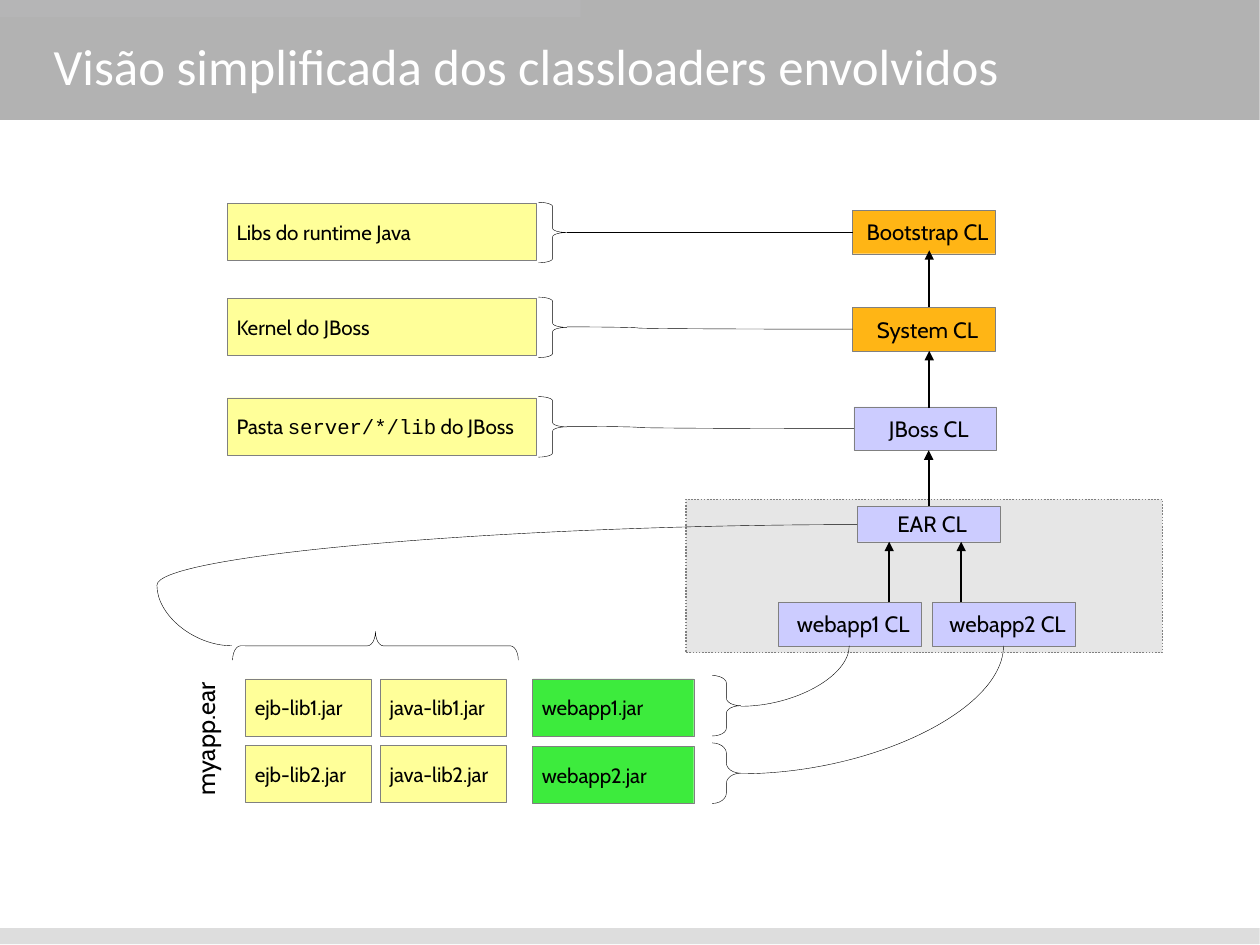
from lxml import etree
from pptx import Presentation
from pptx.dml.color import RGBColor
from pptx.enum.dml import MSO_LINE
from pptx.enum.shapes import MSO_CONNECTOR, MSO_SHAPE
from pptx.enum.text import MSO_ANCHOR, PP_ALIGN
from pptx.oxml.ns import qn
from pptx.util import Inches, Pt

RECTANGLE, RIGHT_BRACE = MSO_SHAPE.RECTANGLE, MSO_SHAPE.RIGHT_BRACE
STRAIGHT, CURVE = MSO_CONNECTOR.STRAIGHT, MSO_CONNECTOR.CURVE
LEFT, CENTER = PP_ALIGN.LEFT, PP_ALIGN.CENTER
MIDDLE, TOP = MSO_ANCHOR.MIDDLE, MSO_ANCHOR.TOP
DOTTED = MSO_LINE.ROUND_DOT

BLACK, WHITE, GREY = "000000", "FFFFFF", "808080"
YELLOW, GREEN, ORANGE, LILAC = "FFFF99", "3DEB3D", "FFB515", "CCCCFF"
BODY, CODE, HEADING = "Cabin", "Courier New", "Calibri"
HAIRLINE = 0.25
CM_PER_INCH = 2.54


def color(value):
    return RGBColor.from_string(value)


def write(shape, text, size=13, font=BODY, ink=BLACK, align=LEFT,
          anchor=MIDDLE, inset=0.08, wrap=False):
    """Fill a shape with one paragraph; text is a string or (text, font) pairs."""
    frame = shape.text_frame
    frame.word_wrap = wrap
    frame.vertical_anchor = anchor
    frame.margin_left = Inches(inset)
    frame.margin_right = frame.margin_top = frame.margin_bottom = 0
    para = frame.paragraphs[0]
    para.alignment = align
    for words, face in [(text, font)] if isinstance(text, str) else text:
        span = para.add_run()
        span.text = words
        span.font.name = face
        span.font.size = Pt(size)
        span.font.color.rgb = color(ink)


class Diagram:
    """Holds the current slide and draws its kinds of element."""

    def __init__(self, page):
        self.shapes = page.shapes

    def shape(self, kind, place, fill=None, line=None, width=HAIRLINE):
        shape = self.shapes.add_shape(kind, *map(Inches, place))
        shape.shadow.inherit = False
        if fill:
            shape.fill.solid()
            shape.fill.fore_color.rgb = color(fill)
        else:
            shape.fill.background()
        if line:
            shape.line.color.rgb = color(line)
            shape.line.width = Pt(width)
        else:
            shape.line.fill.background()
        return shape

    def box(self, text, place, fill, **style):
        box = self.shape(RECTANGLE, place, fill, GREY)
        write(box, text, **style)
        return box

    def loader(self, text, left, top, fill, height=0.38):
        return self.box(text, (left, top, 1.25, height), fill,
                        size=14, align=CENTER, inset=0.06)

    def label(self, text, place, rotation=0, **style):
        label = self.shapes.add_textbox(*map(Inches, place))
        label.rotation = rotation
        write(label, text, **style)

    def brace(self, place, curl, rotation=0):
        brace = self.shape(RIGHT_BRACE, place, line=BLACK)
        brace.adjustments[0] = curl
        brace.rotation = rotation

    def connector(self, kind, start, end, width=HAIRLINE):
        link = self.shapes.add_connector(kind, *map(Inches, start + end))
        link.line.color.rgb = color(BLACK)
        link.line.width = Pt(width)
        etree.SubElement(link._element.spPr, qn("a:effectLst"))
        return link

    def curve(self, start, end, bend=None):
        """S-curve turning at the given share of its width, or a quarter turn."""
        link = self.connector(CURVE, start, end)
        geometry = link._element.spPr.find(qn("a:prstGeom"))
        if bend is None:
            geometry.set("prst", "curvedConnector2")
        else:
            guides = geometry.find(qn("a:avLst"))
            etree.SubElement(guides, qn("a:gd"), name="adj1",
                             fmla=f"val {round(bend * 100000)}")

    def arrow(self, x, start, end):
        arrow = self.connector(STRAIGHT, (x, start), (x, end), 1.45)
        line = arrow._element.spPr.find(qn("a:ln"))
        etree.SubElement(line, qn("a:tailEnd"), type="triangle")
        return arrow


def main():
    deck = Presentation()
    deck.slide_width = Inches(28 / CM_PER_INCH)
    deck.slide_height = Inches(21 / CM_PER_INCH)
    page = deck.slides.add_slide(deck.slide_layouts[6])
    diagram = Diagram(page)

    # Header and footer bands
    for place, fill in [((0, 0, 11.02, 1.05), "B2B2B2"),
                        ((0, 0, 5.08, 0.15), "B5B5B6"),
                        ((0, 8.12, 11.02, 0.14), "DDDDDD")]:
        diagram.shape(RECTANGLE, place, fill)
    diagram.label("Visão simplificada dos classloaders envolvidos",
                  (0.47, 0.08, 9.77, 0.98), size=32, font=HEADING,
                  ink=WHITE, inset=0, wrap=True)

    # Application area and its classloaders
    area = diagram.shape(RECTANGLE, (6, 4.37, 4.17, 1.34), "E6E6E6", GREY, 1)
    area.line.dash_style = DOTTED
    ear = diagram.loader("EAR CL", 7.5, 4.43, LILAC, 0.31)

    # Web applications: classloader, archive, brace and curve
    for number, left, top, curl in [(1, 6.81, 5.94, 0.27),
                                    (2, 8.16, 6.53, 0.36)]:
        diagram.loader(f"webapp{number} CL", left, 5.27, LILAC)
        diagram.box(f"webapp{number}.jar", (4.66, top, 1.41, 0.5), GREEN)
        diagram.brace((6.23, top - 0.03, 0.25, 0.53), curl)
        diagram.curve((6.48, top + 0.24), (left + 0.62, 5.65))

    # Libraries inside the EAR
    diagram.label("myapp.ear", (1.22, 6.28, 1.18, 0.3), 270,
                  size=16, anchor=TOP, inset=0.06)
    for number, top in [(1, 5.94), (2, 6.52)]:
        for name, left in [("ejb", 2.15), ("java", 3.33)]:
            diagram.box(f"{name}-lib{number}.jar", (left, top, 1.1, 0.5), YELLOW)
    diagram.brace((3.16, 4.4, 0.25, 2.5), 0.28, 270)
    diagram.curve((7.5, 4.59), (2.03, 5.65), 1.12)

    # Server levels: library, brace, link and classloader
    folder = [("Pasta ", BODY), ("server/*/lib", CODE), (" do JBoss", BODY)]
    for text, top, name, left, loader_top, fill in [
            ("Libs do runtime Java", 1.78, "Bootstrap CL", 7.46, 1.84, ORANGE),
            ("Kernel do JBoss", 2.61, "System CL", 7.46, 2.69, ORANGE),
            (folder, 3.48, "JBoss CL", 7.47, 3.56, LILAC)]:
        diagram.box(text, (1.99, top, 2.7, 0.5), YELLOW)
        diagram.brace((4.71, top - 0.01, 0.25, 0.53), 0.15)
        diagram.loader(name, left, loader_top, fill)
        diagram.curve((4.96, top + 0.25), (left, loader_top + 0.19), 0.25)

    # Arrows from each classloader to its parent
    for x, start, end in [(7.78, 5.27, 4.74), (8.41, 5.27, 4.74),
                          (8.13, 3.57, 3.07), (8.13, 2.69, 2.19)]:
        diagram.arrow(x, start, end)
    diagram.arrow(7.5 + 1.25 / 2, 4.43, 3.94).begin_connect(ear, 0)

    deck.save("out.pptx")


if __name__ == "__main__":
    main()
